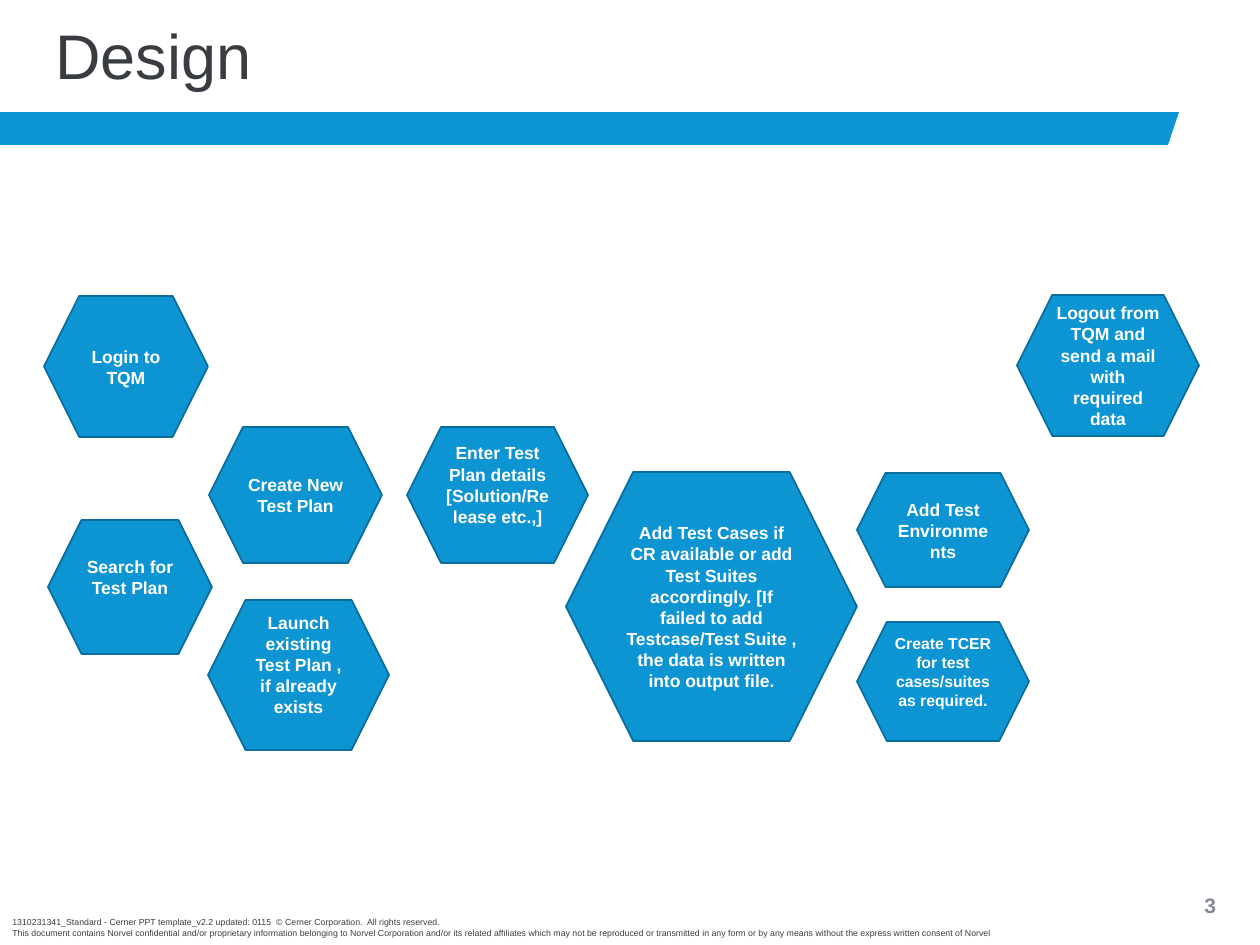
from pptx import Presentation
from pptx import util as u
from pptx.dml.color import RGBColor
from pptx.enum import shapes, text

PX = u.Inches(1) / 126
BLUE, EDGE, INK, GREY, WHITE = "0D94D2", "0A6D9B", "393D41", "838A92", "FFFFFF"

STEPS = [
    ("Login to TQM", (44, 296, 164, 141), 10, 0),
    ("Search for Test Plan", (48, 520, 164, 134), 10, 21),
    ("Create New Test Plan", (209, 427, 173, 136), 10, 0),
    ("Launch existing Test Plan , if already exists", (208, 600, 181, 150), 10, 21),
    ("Enter Test Plan details [Solution/Release etc.,]", (407, 427, 181, 136), 10, 21),
    ("Add Test Cases if CR available or add Test Suites accordingly. "
     "[If failed to add Testcase/Test Suite , the data is written into output file.",
     (566, 472, 291, 269), 10, 0),
    ("Create TCER for test cases/suites as required.", (857, 622, 172, 119), 9, 19),
    ("Add Test Environments", (857, 473, 172, 114), 10, 0),
    ("Logout from TQM and send a mail with required data", (1017, 295, 182, 141), 10, 0),
]
NOTICE = [
    "1310231341_Standard - Cerner PPT template_v2.2 updated: 0115  © Cerner Corporation.  All rights reserved.",
    "This document contains Norvel confidential and/or proprietary information belonging to "
    "Norvel Corporation and/or its related affiliates which may not be reproduced or transmitted "
    "in any form or by any means without the express written consent of Norvel",
]


def px(value):
    return u.Emu(round(value * PX))


def color(value):
    return RGBColor.from_string(value)


def write(frame, lines, size, ink, bold=False, align=text.PP_ALIGN.LEFT):
    frame.word_wrap = True
    for index, line in enumerate(lines):
        paragraph = frame.add_paragraph() if index else frame.paragraphs[0]
        paragraph.text = line
        paragraph.alignment = align
        font = paragraph.font
        font.name, font.size, font.bold = "Arial", u.Pt(size), bold
        font.color.rgb = color(ink)


def add_label(slide, lines, box, size, ink, bold=False):
    frame = slide.shapes.add_textbox(*map(px, box)).text_frame
    write(frame, lines, size, ink, bold)
    return frame


def add_title(slide, title):
    frame = add_label(slide, [title], (43, 0, 1135, 118), 36, INK)
    frame.vertical_anchor = text.MSO_ANCHOR.MIDDLE
    frame.paragraphs[0].line_spacing = 0.9


def add_banner(slide):
    builder = slide.shapes.build_freeform(0, 112, scale=PX)
    builder.add_line_segments([(1179, 112), (1168, 145), (0, 145)])
    banner = builder.convert_to_shape()
    banner.shadow.inherit = False
    banner.fill.solid()
    banner.fill.fore_color.rgb = color(BLUE)
    banner.line.fill.background()


def add_step(slide, label, box, size, lift):
    step = slide.shapes.add_shape(shapes.MSO_SHAPE.HEXAGON, *map(px, box))
    step.shadow.inherit = False
    step.fill.solid()
    step.fill.fore_color.rgb = color(BLUE)
    step.line.color.rgb = color(EDGE)
    step.line.width = u.Pt(1)
    frame = step.text_frame
    frame.vertical_anchor = text.MSO_ANCHOR.MIDDLE
    frame.margin_bottom = px(6 + lift)
    write(frame, [label], size, WHITE, True, text.PP_ALIGN.CENTER)


def main():
    deck = Presentation()
    deck.slide_width, deck.slide_height = px(1260), px(945)
    slide = deck.slides.add_slide(deck.slide_layouts[6])
    add_banner(slide)
    add_label(slide, NOTICE, (0, 911, 1237, 34), 5, INK)
    add_label(slide, ["3"], (1192, 886, 58, 38), 12, GREY, True)
    add_title(slide, "Design")
    for step in STEPS:
        add_step(slide, *step)
    deck.save("out.pptx")


if __name__ == "__main__":
    main()
